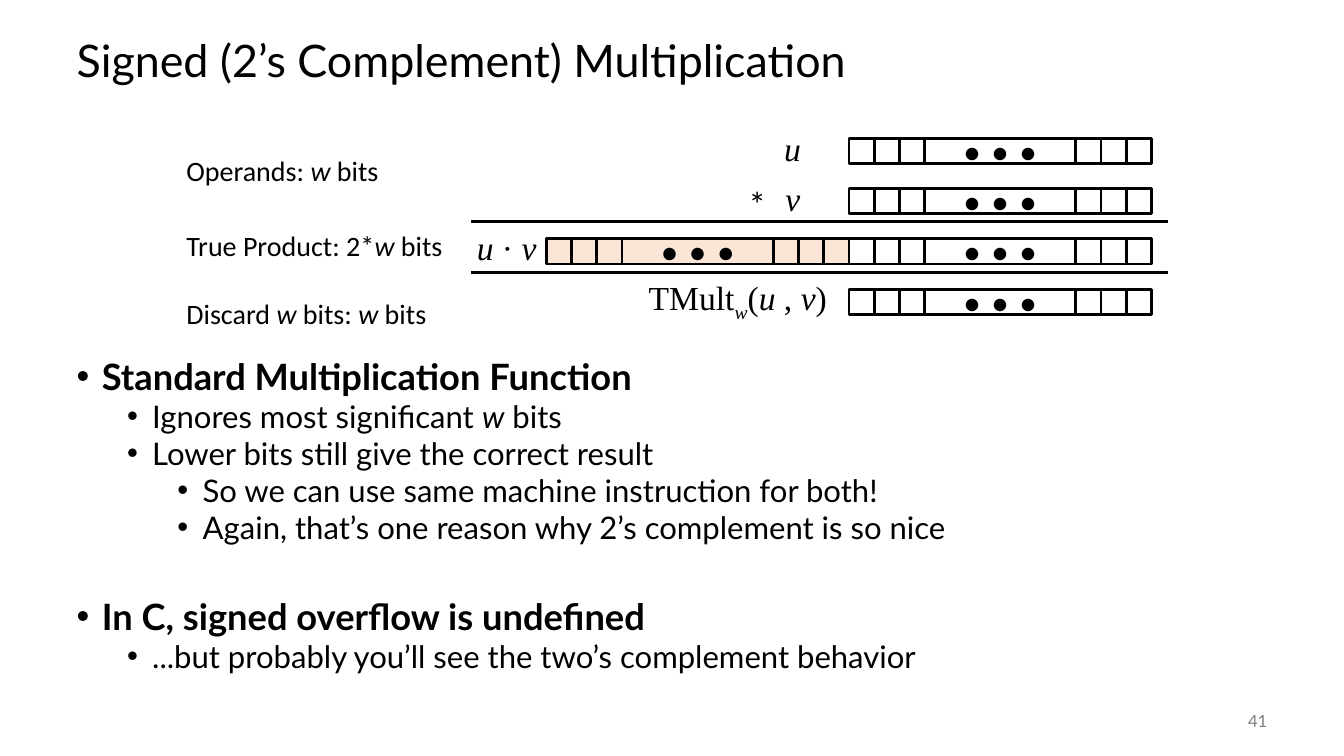
from lxml import etree
from pptx import Presentation
from pptx.dml.color import RGBColor
from pptx.enum.shapes import MSO_CONNECTOR, MSO_SHAPE
from pptx.enum.text import MSO_ANCHOR, MSO_AUTO_SIZE, PP_ALIGN
from pptx.oxml.ns import qn
from pptx.util import Pt

BLACK = RGBColor(0x00, 0x00, 0x00)
WHITE = RGBColor(0xFF, 0xFF, 0xFF)
PEACH = RGBColor(0xFB, 0xE5, 0xD6)
GRAY = RGBColor(0x80, 0x80, 0x80)
LEFT, CENTER, RIGHT = PP_ALIGN.LEFT, PP_ALIGN.CENTER, PP_ALIGN.RIGHT
TOP, MIDDLE = MSO_ANCHOR.TOP, MSO_ANCHOR.MIDDLE
RECTANGLE, STRAIGHT = MSO_SHAPE.RECTANGLE, MSO_CONNECTOR.STRAIGHT
NO_FIT, GROW = MSO_AUTO_SIZE.NONE, MSO_AUTO_SIZE.SHAPE_TO_FIT_TEXT
LATO, CALIBRI, TIMES = "Lato", "Calibri", "Times New Roman"

PX = 9144  # 100 px to the inch

# In all texts, _x_ is italic and _↓x_ is an italic subscript.
TITLE = "Signed (2’s Complement) Multiplication"
PAGE_NUMBER = "41"
DOTS = "•\u00a0•\u00a0•"

# level, text, space before in points
BULLETS = [
    (0, "Standard Multiplication Function", 0),
    (1, "Ignores most significant _w_ bits", 5),
    (1, "Lower bits still give the correct result", 5),
    (2, "So we can use same machine instruction for both!", 5),
    (2, "Again, that’s one reason why 2’s complement is so nice", 5),
    (0, "In C, signed overflow is undefined", 41),
    (1, "...but probably you’ll see the two’s complement behavior", 5),
]

# text, left, top, width, wrap
STEP_LABELS = [
    ("Operands: _w_ bits", 175, 147, 213, False),
    ("True Product: 2*_w_ bits", 175, 222, 277, False),
    ("Discard _w_ bits: _w_ bits", 175, 289, 267, True),
]

# text, left, top, width, font, alignment
SYMBOLS = [
    ("_u_", 768, 122, 37, TIMES, LEFT),
    ("_v_", 769, 172, 35, TIMES, LEFT),
    ("*", 734, 178, 39, LATO, LEFT),
    ("_u_ · _v_", 462, 220, 80, TIMES, RIGHT),
    ("TMult_↓w_(_u_ , _v_)", 629, 270, 201, TIMES, RIGHT),
]

BIT, GAP = 25, 150
REGISTER = 6 * BIT + GAP
LOW_LEFT, FIRST_ROW, ROW_STEP = 842, 137, 50
REGISTERS = [(LOW_LEFT, row, WHITE) for row in range(4)]
REGISTERS.append((LOW_LEFT - REGISTER, 2, PEACH))

RULE_LEFT, RULE_RIGHT = 467, 1158
RULES = [220, 270]


def place(shape, left, top, width, height):
    shape.left, shape.top = left * PX, top * PX
    shape.width, shape.height = width * PX, height * PX


def write(para, text, size, font=LATO, color=BLACK, bold=False, align=LEFT):
    """Fill a paragraph, reading the _italic_ and _↓subscript_ marks."""
    para.alignment = align
    for index, piece in enumerate(text.split("_")):
        if not piece:
            continue
        span = para.add_run()
        span.text = piece.lstrip("↓")
        span.font.size, span.font.name = Pt(size), font
        span.font.bold, span.font.italic = bold, index % 2 == 1
        span.font.color.rgb = color
        if piece.startswith("↓"):
            span.font._element.set("baseline", "-25000")


def set_frame(shape, anchor=TOP, wrap=True, fit=NO_FIT):
    frame = shape.text_frame
    frame.vertical_anchor, frame.word_wrap = anchor, wrap
    frame.auto_size = fit
    return frame


def add_label(page, text, left, top, width, height, anchor=TOP, wrap=False,
              fit=GROW, **style):
    box = page.shapes.add_textbox(left * PX, top * PX, width * PX, height * PX)
    write(set_frame(box, anchor, wrap, fit).paragraphs[0], text, **style)


def add_register(page, left, row, color):
    """Draw three bits, a wide cell with dots, and three more bits."""
    group = page.shapes.add_group_shape()
    top = FIRST_ROW + row * ROW_STEP
    for width in [BIT] * 3 + [GAP] + [BIT] * 3:
        cell = group.shapes.add_shape(
            RECTANGLE, left * PX, top * PX, width * PX, BIT * PX)
        cell.shadow.inherit = False
        cell.fill.solid()
        cell.fill.fore_color.rgb = color
        cell.line.color.rgb, cell.line.width = BLACK, Pt(2)
        if width == GAP:
            frame = set_frame(cell, MIDDLE, wrap=False)
            write(frame.paragraphs[0], DOTS, 24, align=CENTER)
        left += width


def add_rule(page, y):
    rule = page.shapes.add_connector(
        STRAIGHT, RULE_LEFT * PX, y * PX, RULE_RIGHT * PX, y * PX)
    rule.line.color.rgb, rule.line.width = BLACK, Pt(2)
    etree.SubElement(rule._element.spPr, qn("a:effectLst"))


def add_bullet(para, level, text, space):
    para.level = level
    properties = para._p.get_or_add_pPr()
    properties.set("marL", str((25 + 50 * level) * PX))
    properties.set("indent", str(-25 * PX))
    etree.SubElement(properties, qn("a:buFont"), typeface="Arial")
    etree.SubElement(properties, qn("a:buChar"), char="•")
    para.line_spacing, para.space_before = 0.8, Pt(space)
    heading = level == 0
    write(para, text, 25.9 if heading else 22.2, bold=heading)


def main():
    deck = Presentation()
    deck.slide_width, deck.slide_height = 1333 * PX, 750 * PX
    page = deck.slides.add_slide(deck.slide_layouts[1])

    title, body = page.shapes.title, page.placeholders[1]
    place(title, 66, 25, 1200, 75)
    title_para = set_frame(title, MIDDLE).paragraphs[0]
    title_para.line_spacing = 0.9
    write(title_para, TITLE, 32)

    place(body, 66, 355, 1200, 320)
    frame = set_frame(body)
    for index, bullet in enumerate(BULLETS):
        para = frame.add_paragraph() if index else frame.paragraphs[0]
        add_bullet(para, *bullet)

    for register in REGISTERS:
        add_register(page, *register)
    for y in RULES:
        add_rule(page, y)
    for text, left, top, width, font, align in SYMBOLS:
        add_label(page, text, left, top, width, 50, size=24, font=font, align=align)
    for text, left, top, width, wrap in STEP_LABELS:
        add_label(page, text, left, top, width, 44, wrap=wrap, size=20, font=CALIBRI)
    add_label(page, PAGE_NUMBER, 1167, 695, 100, 40, anchor=MIDDLE, wrap=True,
              fit=NO_FIT, size=12, color=GRAY, align=RIGHT)

    deck.save("out.pptx")


if __name__ == "__main__":
    main()
